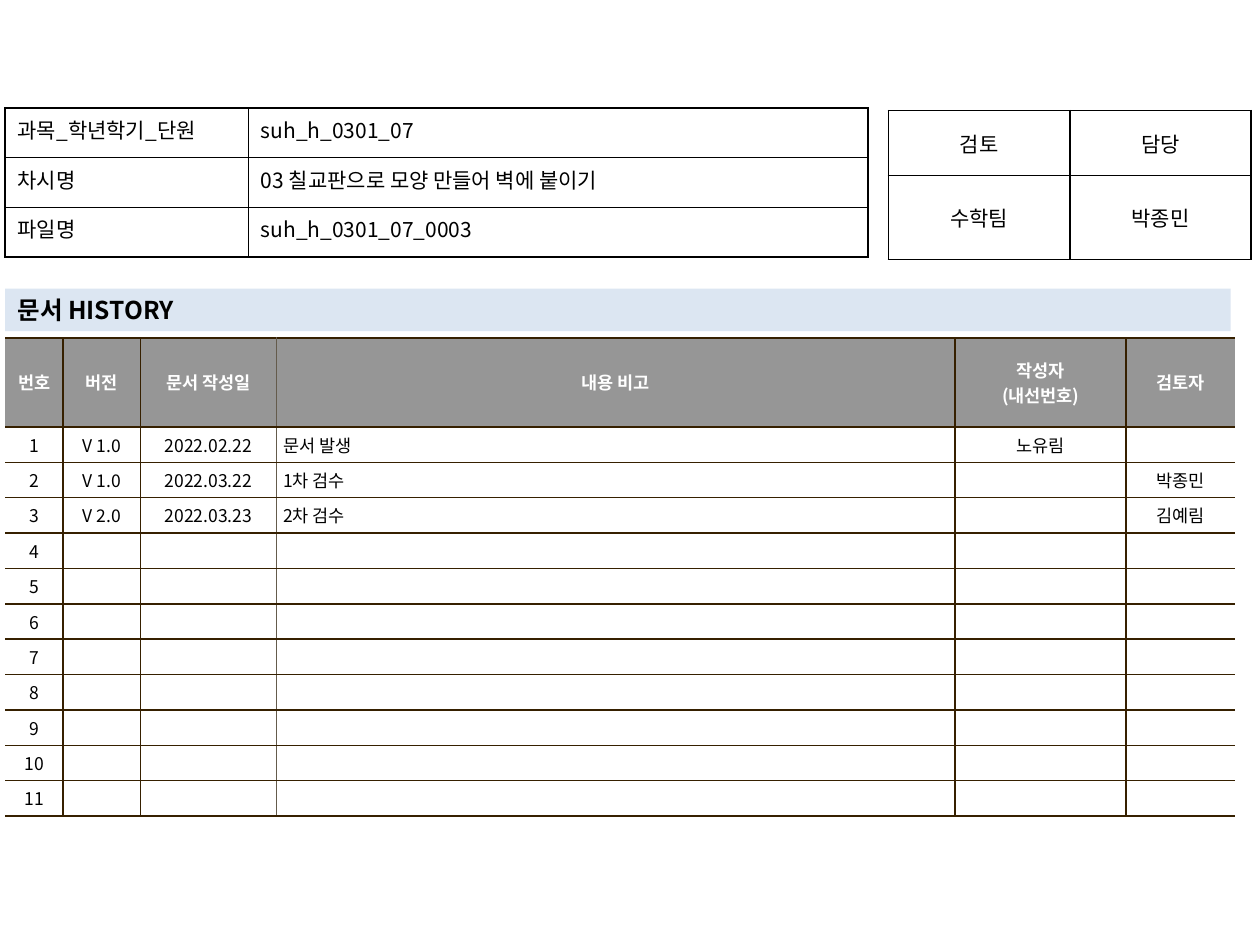
import pptx
import pptx.util
import pptx.dml.color
import pptx.enum.shapes
import pptx.enum.text
import pptx.oxml.ns
import lxml.etree

Pt = pptx.util.Pt
ALIGN = pptx.enum.text.PP_ALIGN
ANCHOR = pptx.enum.text.MSO_ANCHOR
FONT = "Noto Sans CJK KR"
COLORS = {
    "ink": "000000",
    "white": "FFFFFF",
    "head": "969696",
    "band": "DCE6F2",
    "rule": "362000",
    "soft": "645B4C",
}


def rgb(name):
    """Return the named colour."""
    return pptx.dml.color.RGBColor.from_string(COLORS[name])


def add_tag(parent, tag, **attrs):
    """Append a drawing element to parent."""
    return lxml.etree.SubElement(parent, pptx.oxml.ns.qn("a:" + tag), **attrs)


def style_text(frame, size, color="ink", bold=False, align=ALIGN.LEFT):
    """Format every paragraph of a text frame."""
    for para in frame.paragraphs:
        para.alignment = align
        for run in para.runs:
            font = run.font
            font.size, font.bold, font.name = Pt(size), bold, FONT
            font.color.rgb = rgb(color)
            add_tag(font._element, "ea", typeface=FONT)
        if not para.runs:
            add_tag(para._p, "endParaRPr", sz=str(size * 100))


def style_cell(cell, edges, fill=None, pad=(7.2, 3.6), anchor=ANCHOR.MIDDLE):
    """Set the borders, fill, margins and anchor of a cell."""
    props = cell._tc.get_or_add_tcPr()
    for side, color in zip("LRTB", edges):
        line = add_tag(props, "ln" + side, w=str(Pt(1)))
        if color:
            solid = add_tag(line, "solidFill")
            add_tag(solid, "srgbClr", val=COLORS[color])
        else:
            add_tag(line, "noFill")
    if fill:
        cell.fill.solid()
        cell.fill.fore_color.rgb = rgb(fill)
    else:
        cell.fill.background()
    cell.margin_left = cell.margin_right = Pt(pad[0])
    cell.margin_top = cell.margin_bottom = Pt(pad[1])
    cell.vertical_anchor = anchor


def add_grid(slide, left, top, cols, rows, data):
    """Add a plain table and yield each cell with its row and column."""
    size = Pt(sum(cols)), Pt(sum(rows))
    shape = slide.shapes.add_table(len(rows), len(cols), Pt(left), Pt(top), *size)
    table = shape.table
    table.first_row = table.horz_banding = False
    for col, width in zip(table.columns, cols):
        col.width = Pt(width)
    for row, height in zip(table.rows, rows):
        row.height = Pt(height)
    for r, line in enumerate(data):
        for c, text in enumerate(line):
            cell = table.cell(r, c)
            cell.text_frame.text = text
            yield r, c, cell


def add_info(slide, left, top, width, height):
    """Add the table of subject, lesson and file names."""
    data = [
        ("과목_학년학기_단원", "suh_h_0301_07"),
        ("차시명", "03 칠교판으로 모양 만들어 벽에 붙이기"),
        ("파일명", "suh_h_0301_07_0003"),
    ]
    cols = [139, width - 139]
    rows = [height / len(data)] * len(data)
    for r, c, cell in add_grid(slide, left, top, cols, rows, data):
        style_cell(cell, ["ink"] * 4, anchor=ANCHOR.TOP)
        style_text(cell.text_frame, 12, align=ALIGN.LEFT if c else ALIGN.JUSTIFY)


def add_review(slide, left, top, width, height):
    """Add the table of reviewer and person in charge."""
    data = [("검토", "담당"), ("수학팀", "박종민")]
    rows = [37.2, height - 37.2]
    for r, c, cell in add_grid(slide, left, top, [width / 2] * 2, rows, data):
        style_cell(cell, ["ink"] * 4)
        style_text(cell.text_frame, 12, align=ALIGN.CENTER)


def add_title(slide, left, top, width, height):
    """Add the shaded heading bar."""
    kind = pptx.enum.shapes.MSO_SHAPE.RECTANGLE
    bar = slide.shapes.add_shape(kind, Pt(left), Pt(top), Pt(width), Pt(height))
    bar.shadow.inherit = False
    bar.fill.solid()
    bar.fill.fore_color.rgb = rgb("band")
    bar.line.fill.background()
    frame = bar.text_frame
    frame.word_wrap = True
    frame.vertical_anchor = ANCHOR.MIDDLE
    frame.text = "문서 HISTORY"
    style_text(frame, 14, bold=True)


def add_history(slide, left, top, width, height):
    """Add the table of document versions."""
    data = [
        ("번호", "버전", "문서 작성일", "내용 비고", "작성자\n(내선번호)", "검토자"),
        ("1", "V 1.0", "2022.02.22", "문서 발생", "노유림", ""),
        ("2", "V 1.0", "2022.03.22", "1차 검수", "", "박종민"),
        ("3", "V 2.0", "2022.03.23", "2차 검수", "", "김예림"),
    ]
    data += [(str(n),) + ("",) * 5 for n in range(4, 12)]
    cols = [33.2, 44.2, 77.6, 388, 97.7]
    cols.append(width - sum(cols))
    rows = [51] + [(height - 51) / 11] * 11
    sides = [None, "rule", "rule", "soft", "rule", "rule", None]
    for r, c, cell in add_grid(slide, left, top, cols, rows, data):
        edges = sides[c], sides[c + 1], "rule", "rule"
        style_cell(cell, edges, "white" if r else "head", (4, 2.9))
        align = ALIGN.LEFT if r and c == 3 else ALIGN.CENTER
        style_text(cell.text_frame, 10, "ink" if r else "white", r == 0, align)


def main():
    """Build the slide and save it."""
    deck = pptx.Presentation()
    deck.slide_width, deck.slide_height = Pt(720), Pt(540)
    slide = deck.slides.add_slide(deck.slide_layouts[6])
    add_history(slide, 2.9, 193, 703.2, 249)
    add_review(slide, 507.6, 63.2, 207.4, 85)
    add_title(slide, 2.9, 165, 700.4, 24.2)
    add_info(slide, 2.9, 61.8, 493.2, 85)
    deck.save("out.pptx")


if __name__ == "__main__":
    main()
